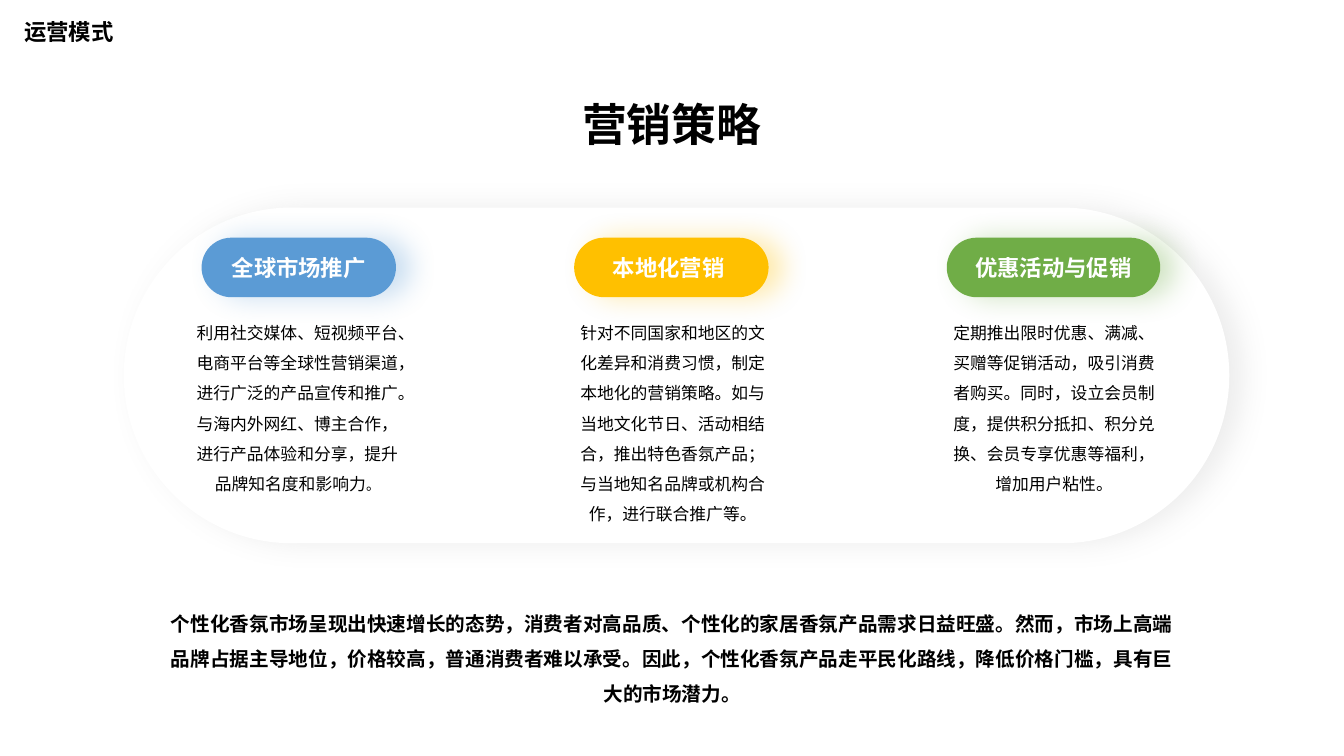
from dataclasses import dataclass

from lxml import etree
from pptx import Presentation
from pptx import util as u
from pptx.dml.color import RGBColor
from pptx.enum import shapes, text
from pptx.oxml.ns import qn


@dataclass(frozen=True)
class Theme:
    """Colours, font and type sizes of the slide."""
    font: str = "Noto Sans CJK SC"
    ink: str = "000000"
    paper: str = "FFFFFF"
    haze: str = "A6A6A6"
    blue: str = "5B9BD5"
    amber: str = "FFC000"
    green: str = "70AD47"
    title: int = 32
    label: int = 16
    summary: int = 14
    body: int = 12
    small: int = 10


THEME = Theme()
CENTER = text.PP_ALIGN.CENTER
PILL_LEFT, PILL_TOP, PILL_PITCH, PILL_HEIGHT = 5.08, 5.99, 9.39, 1.5
BODY_TOP = 7.75

STRATEGIES = [
    dict(label="全球市场推广", color=THEME.blue, pill_width=4.9,
         left=4.65, width=5.69, height=4.88,
         spans=[("利用社交媒体、短视频平台、电商平台等全球性营销渠道，进行广泛的产品宣传和推广。"
                 "与海内外网红、博主合作，进行产品体验和分享，提升品牌知名度和影响力", THEME.body),
                ("。", THEME.small)]),
    dict(label="本地化营销 ", color=THEME.amber, pill_width=4.9,
         left=14.25, width=5.41, height=5.64,
         spans=[("针对不同国家和地区的文化差异和消费习惯，制定本地化的营销策略。"
                 "如与当地文化节日、活动相结合，推出特色香氛产品；"
                 "与当地知名品牌或机构合作，进行联合推广等。", THEME.body)]),
    dict(label="优惠活动与促销", color=THEME.green, pill_width=5.38,
         left=23.67, width=5.79, height=4.88,
         spans=[("定期推出限时优惠、满减、买赠等促销活动，吸引消费者购买。"
                 "同时，设立会员制度，提供积分抵扣、积分兑换、会员专享优惠等福利，"
                 "增加用户粘性。", THEME.body)]),
]

SUMMARY = ("个性化香氛市场呈现出快速增长的态势，消费者对高品质、个性化的家居香氛产品需求日益旺盛。"
           "然而，市场上高端品牌占据主导地位，价格较高，普通消费者难以承受。"
           "因此，个性化香氛产品走平民化路线，降低价格门槛，具有巨大的市场潜力。")


def set_values(target, values):
    """Set each attribute of target from a dict."""
    for name, value in values.items():
        setattr(target, name, value)


def write(frame, spans, color=THEME.ink, bold=True, frame_format=None, para_format=None):
    """Fill a text frame with one paragraph of (words, size) spans."""
    set_values(frame, {"word_wrap": True, **(frame_format or {})})
    para = frame.paragraphs[0]
    set_values(para, para_format or {})
    for words, size in spans:
        span = para.add_run()
        span.text = words
        set_values(span.font, {"name": THEME.font, "size": u.Pt(size), "bold": bold})
        span.font.color.rgb = RGBColor.from_string(color)
        east_asian = etree.SubElement(span.font._element, qn("a:ea"))
        east_asian.set("typeface", THEME.font)


def add_text(page, place, spans, **options):
    """Add a text box that grows with its text."""
    box = page.shapes.add_textbox(*map(u.Cm, place))
    options["frame_format"] = {"auto_size": text.MSO_AUTO_SIZE.SHAPE_TO_FIT_TEXT,
                               **options.get("frame_format", {})}
    write(box.text_frame, spans, **options)


def add_glow(shape, color, opacity):
    """Cast a soft shadow to the right of a shape."""
    shape.shadow.inherit = False
    effects = shape._element.spPr.find(qn("a:effectLst"))
    shadow = etree.SubElement(effects, qn("a:outerShdw"), blurRad=str(u.Pt(20)),
                              dist=str(u.Pt(10)), dir="0", algn="l", rotWithShape="0")
    tint = etree.SubElement(shadow, qn("a:srgbClr"), val=color)
    etree.SubElement(tint, qn("a:alpha"), val=str(opacity * 1000))


def add_capsule(page, place, fill, glow, opacity):
    """Add a fully rounded bar with a coloured shadow."""
    capsule = page.shapes.add_shape(shapes.MSO_SHAPE.ROUNDED_RECTANGLE, *map(u.Cm, place))
    capsule.adjustments[0] = 0.5
    capsule.fill.solid()
    capsule.fill.fore_color.rgb = RGBColor.from_string(fill)
    capsule.line.fill.background()
    add_glow(capsule, glow, opacity)
    return capsule


def add_strategy(page, index, strategy):
    """Add one strategy: a labelled pill above its description."""
    color = strategy["color"]
    place = (PILL_LEFT + index * PILL_PITCH, PILL_TOP, strategy["pill_width"], PILL_HEIGHT)
    pill = add_capsule(page, place, color, color, 32)
    write(pill.text_frame, [(strategy["label"], THEME.label)], color=THEME.paper,
          frame_format={"vertical_anchor": text.MSO_ANCHOR.MIDDLE},
          para_format={"alignment": CENTER})
    add_text(page, (strategy["left"], BODY_TOP, strategy["width"], strategy["height"]),
             strategy["spans"], bold=False,
             para_format={"alignment": CENTER, "line_spacing": 1.5})


def main():
    """Build the marketing strategy slide."""
    deck = Presentation()
    set_values(deck, {"slide_width": u.Cm(33.87), "slide_height": u.Cm(19.05)})
    page = deck.slides.add_slide(deck.slide_layouts[6])
    add_capsule(page, (3.12, 5.23, 27.86, 8.46), THEME.paper, THEME.haze, 20)
    add_text(page, (4.06, 14.99, 25.76, 2.95), [(SUMMARY, THEME.summary)],
             para_format={"alignment": CENTER, "line_spacing": 1.5})
    for index, strategy in enumerate(STRATEGIES):
        add_strategy(page, index, strategy)
    add_text(page, (5.03, 2.31, 23.8, 1.63), [("营销策略", THEME.title)],
             frame_format={"vertical_anchor": text.MSO_ANCHOR.MIDDLE},
             para_format={"alignment": CENTER})
    add_text(page, (0.36, 0.33, 2.77, 0.94), [("运营模式", THEME.label)],
             frame_format={"word_wrap": False})
    deck.save("out.pptx")


if __name__ == "__main__":
    main()
